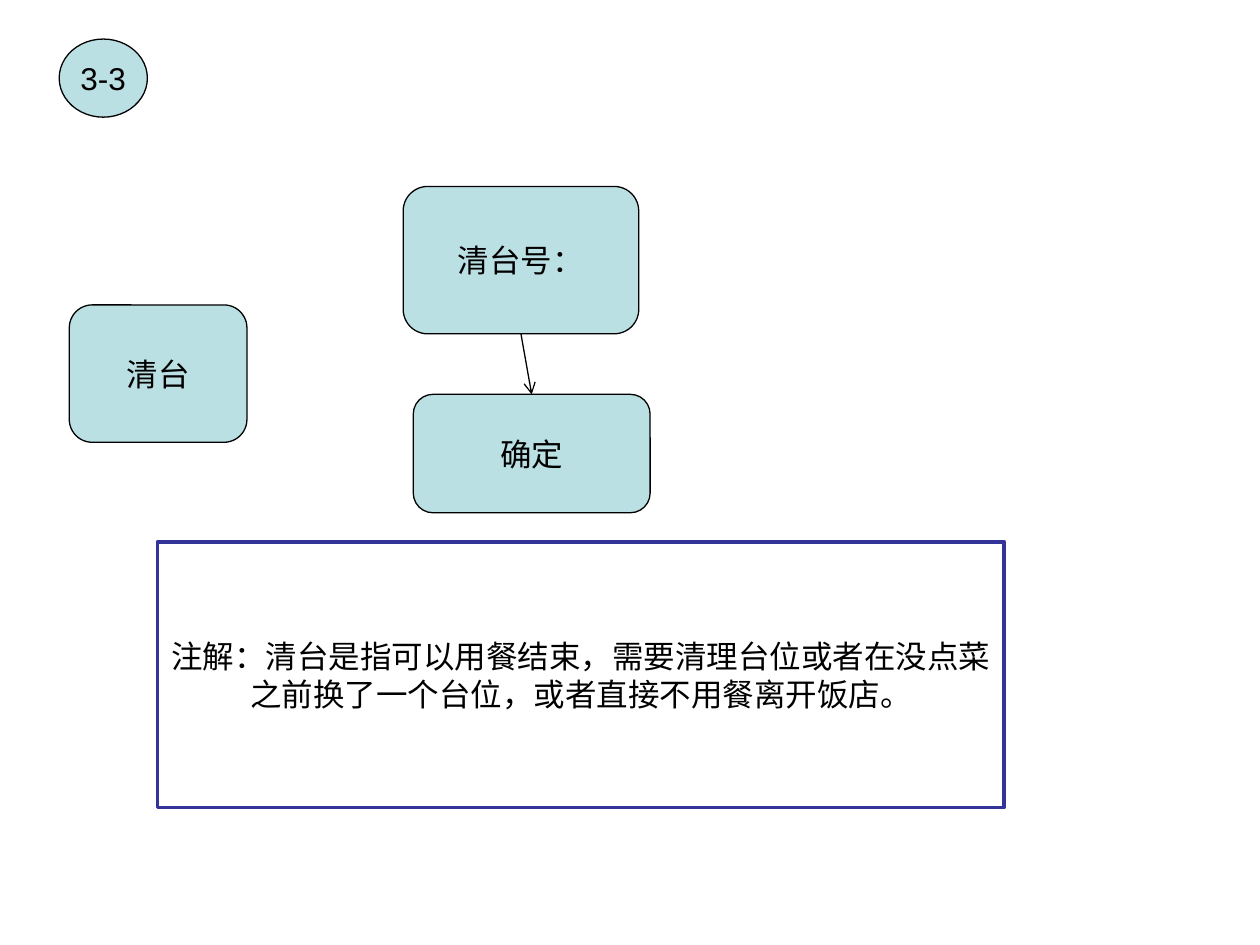
from lxml import etree
from pptx import Presentation
from pptx.dml.color import RGBColor
from pptx.enum.shapes import MSO_CONNECTOR as Connector, MSO_SHAPE as Preset
from pptx.enum.text import MSO_ANCHOR as Anchor, PP_ALIGN as Align
from pptx.oxml.ns import qn
from pptx.util import Inches, Pt

BLACK = "000000"
PALE_TEAL = "BBE0E3"


def set_fill(shape, color):
    shape.fill.solid()
    shape.fill.fore_color.rgb = RGBColor.from_string(color)


def set_line(shape, color, width):
    shape.line.color.rgb = RGBColor.from_string(color)
    shape.line.width = Pt(width)


def add_box(slide, preset, box, text, fill=PALE_TEAL, line=BLACK, width=0.75):
    shape = slide.shapes.add_shape(preset, *map(Inches, box))
    shape.shadow.inherit = False
    set_fill(shape, fill)
    set_line(shape, line, width)
    frame = shape.text_frame
    frame.word_wrap = False
    frame.vertical_anchor = Anchor.MIDDLE
    frame.text = text
    for paragraph in frame.paragraphs:
        paragraph.alignment = Align.CENTER
        for run in paragraph.runs:
            run.font.size = Pt(18)
            run.font.name = "Arial"
            run.font.color.rgb = RGBColor.from_string(BLACK)
    return shape


def add_arrow(slide, upper, lower):
    arrow = slide.shapes.add_connector(Connector.STRAIGHT, 0, 0, 0, 0)
    arrow.begin_connect(upper, 2)
    arrow.end_connect(lower, 0)
    set_line(arrow, BLACK, 0.75)
    etree.SubElement(arrow.line._get_or_add_ln(), qn("a:tailEnd"), type="arrow")
    etree.SubElement(arrow._element.spPr, qn("a:effectLst"))


def add_flow(slide, left, top):
    rounded = Preset.ROUNDED_RECTANGLE
    add_box(slide, rounded, (left, top + 0.94, 1.41, 1.09), "清台")
    table_number = add_box(slide, rounded, (left + 2.65, top, 1.87, 1.17), "清台号：")
    confirm = add_box(slide, rounded, (left + 2.73, top + 1.65, 1.88, 0.94), "确定")
    add_arrow(slide, table_number, confirm)


def add_note(slide, box):
    text = (
        "注解：清台是指可以用餐结束，需要清理台位或者在没点菜\n"
        "之前换了一个台位，或者直接不用餐离开饭店。"
    )
    add_box(slide, Preset.RECTANGLE, box, text, "FFFFFF", "333399", 2)


def main():
    presentation = Presentation()
    presentation.slide_width = Inches(10)
    presentation.slide_height = Inches(7.5)
    slide = presentation.slides.add_slide(presentation.slide_layouts[6])
    add_box(slide, Preset.OVAL, (0.47, 0.31, 0.7, 0.62), "3-3")
    add_flow(slide, 0.55, 1.48)
    add_note(slide, (1.25, 4.3, 6.72, 2.11))
    presentation.save("out.pptx")


if __name__ == "__main__":
    main()
